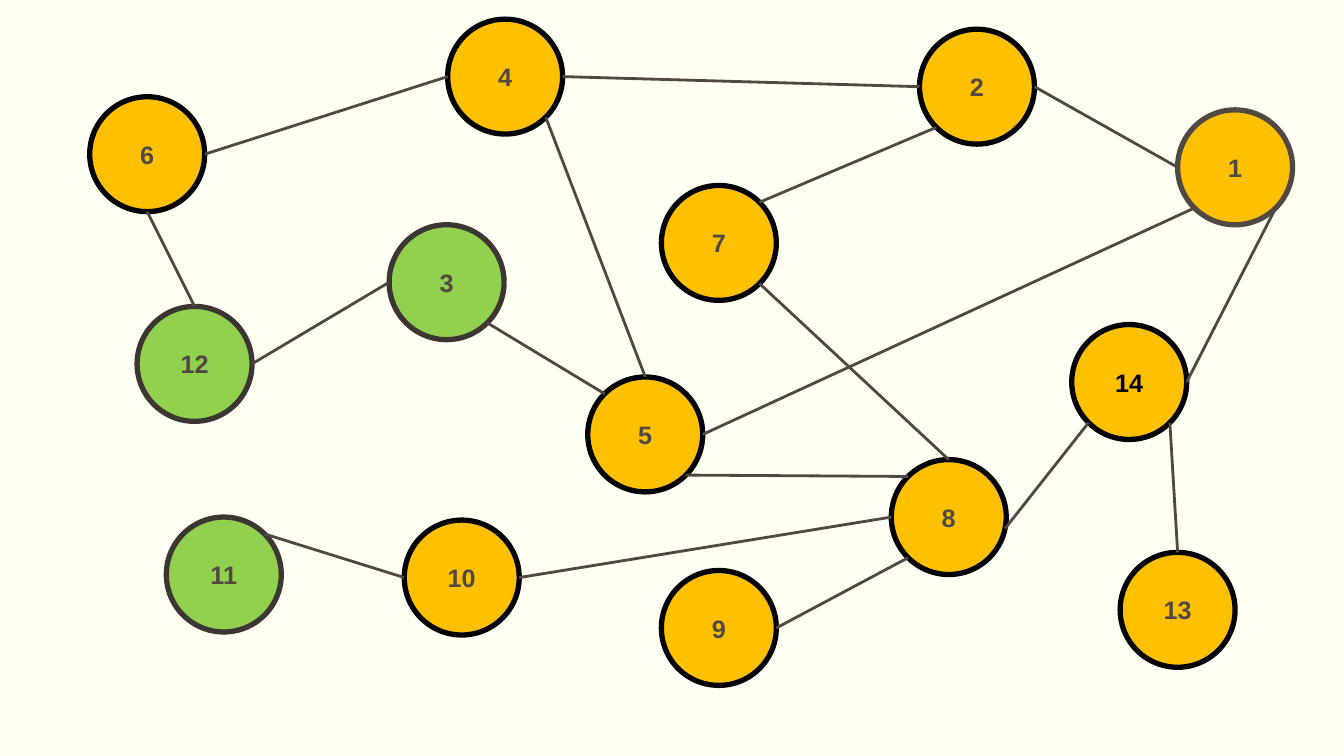
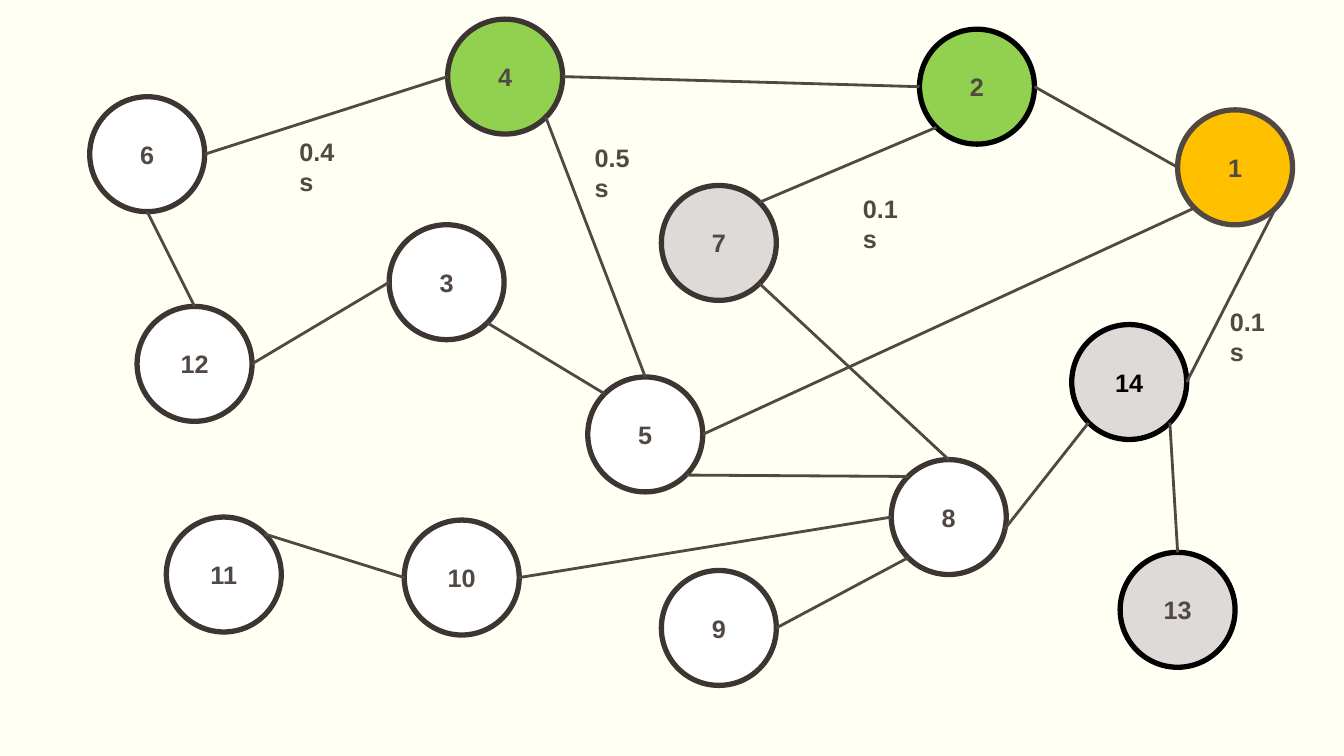
import math
from dataclasses import dataclass

from lxml import etree
from pptx import Presentation
from pptx import util as u
from pptx.dml.color import RGBColor
from pptx.enum import shapes, text
from pptx.oxml.ns import qn


@dataclass(frozen=True)
class Theme:
    background: str = "FFFFF3"
    ink: str = "514843"
    dark: str = "3C3532"
    black: str = "000000"
    amber: str = "FFC000"
    green: str = "92D050"
    grey: str = "DEDAD7"
    white: str = "FFFFFF"
    font: str = "Arial"
    text_size: float = 18
    outline: float = 3.78
    edge: float = 2


THEME = Theme()
DIAMETER = 1.14
LABEL_SIZE = (0.67, 0.7)

# Network: left and top of each node
NODES = {
    1: (11.68, 1.09), 2: (9.12, 0.29), 3: (3.86, 2.23), 4: (4.44, 0.19),
    5: (5.83, 3.74), 6: (0.89, 0.96), 7: (6.56, 1.84), 8: (8.84, 4.56),
    9: (6.56, 5.66), 10: (4.01, 5.16), 11: (1.65, 5.13), 12: (1.36, 3.04),
    13: (11.11, 5.48), 14: (10.63, 3.22),
}

# Points on a node's rim, in degrees clockwise from the right
RIM = {
    "right": 0, "right low": 11.5, "bottom right": 45, "bottom": 90,
    "bottom left": 135, "left": 180, "top left": 225, "top": 270,
    "top right": 315,
}

# Edges: node and rim point at each end
EDGES = [
    (7, "top right", 2, "bottom left"),
    (4, "left", 6, "right"),
    (6, "bottom", 12, "top"),
    (1, "bottom left", 5, "right"),
    (14, "bottom left", 8, "right low"),
    (5, "top left", 3, "bottom right"),
    (4, "right", 2, "left"),
    (2, "right", 1, "left"),
    (1, "bottom right", 14, "right"),
    (11, "top right", 10, "left"),
    (14, "bottom right", 13, "top"),
    (8, "bottom left", 9, "right"),
    (8, "top left", 5, "bottom right"),
    (8, "left", 10, "right"),
    (8, "top", 7, "bottom right"),
    (5, "top", 4, "bottom right"),
    (12, "right", 3, "left"),
]

# Slides: usual node colours, exceptions by node, and delay labels
SLIDES = [
    {
        "fill": THEME.amber,
        "fills": dict.fromkeys((3, 11, 12), THEME.green),
        "outline": THEME.black,
        "outlines": {1: THEME.ink, **dict.fromkeys((3, 11, 12), THEME.dark)},
        "labels": [],
    },
    {
        "fill": THEME.white,
        "fills": {1: THEME.amber, **dict.fromkeys((2, 4), THEME.green),
                  **dict.fromkeys((7, 13, 14), THEME.grey)},
        "outline": THEME.dark,
        "outlines": {1: THEME.ink,
                     **dict.fromkeys((2, 13, 14), THEME.black)},
        "labels": [("0.1s", 12.1, 2.99), ("0.4s", 2.87, 1.3),
                   ("0.1s", 8.46, 1.87), ("0.5s", 5.8, 1.36)],
    },
]
TEXT_COLOURS = {14: THEME.black}


def rgb(colour):
    return RGBColor.from_string(colour)


def write(shape, words, colour=THEME.ink):
    shape.text_frame.text = words
    paragraph = shape.text_frame.paragraphs[0]
    paragraph.font.name = THEME.font
    paragraph.font.size = u.Pt(THEME.text_size)
    paragraph.font.bold = True
    paragraph.font.color.rgb = rgb(colour)
    return paragraph


def add_node(slide, number, fill, outline):
    left, top = NODES[number]
    shape = slide.shapes.add_shape(
        shapes.MSO_SHAPE.OVAL, u.Inches(left), u.Inches(top),
        u.Inches(DIAMETER), u.Inches(DIAMETER))
    shape.shadow.inherit = False
    shape.fill.solid()
    shape.fill.fore_color.rgb = rgb(fill)
    shape.line.color.rgb = rgb(outline)
    shape.line.width = u.Pt(THEME.outline)
    shape.text_frame.vertical_anchor = text.MSO_ANCHOR.MIDDLE
    paragraph = write(shape, str(number), TEXT_COLOURS.get(number, THEME.ink))
    paragraph.alignment = text.PP_ALIGN.CENTER


def rim_point(number, place):
    left, top = NODES[number]
    angle, radius = math.radians(RIM[place]), DIAMETER / 2
    return (u.Inches(left + radius * (1 + math.cos(angle))),
            u.Inches(top + radius * (1 + math.sin(angle))))


def add_edge(slide, start, start_place, end, end_place):
    connector = slide.shapes.add_connector(
        shapes.MSO_CONNECTOR.STRAIGHT,
        *rim_point(start, start_place), *rim_point(end, end_place))
    connector.line.color.rgb = rgb(THEME.ink)
    connector.line.width = u.Pt(THEME.edge)
    etree.SubElement(connector._element.spPr, qn("a:effectLst"))


def add_label(slide, words, left, top):
    box = slide.shapes.add_textbox(
        u.Inches(left), u.Inches(top), *map(u.Inches, LABEL_SIZE))
    box.text_frame.word_wrap = True
    write(box, words)


def build_slide(presentation, content):
    slide = presentation.slides.add_slide(presentation.slide_layouts[6])
    for number in NODES:
        add_node(slide, number,
                 content["fills"].get(number, content["fill"]),
                 content["outlines"].get(number, content["outline"]))
    for edge in EDGES:
        add_edge(slide, *edge)
    for label in content["labels"]:
        add_label(slide, *label)


def main():
    presentation = Presentation()
    presentation.slide_width = u.Inches(13.33)
    presentation.slide_height = u.Inches(7.5)

    # Shared background
    background = presentation.slide_master.background.fill
    background.solid()
    background.fore_color.rgb = rgb(THEME.background)

    for content in SLIDES:
        build_slide(presentation, content)
    presentation.save("out.pptx")


if __name__ == "__main__":
    main()
